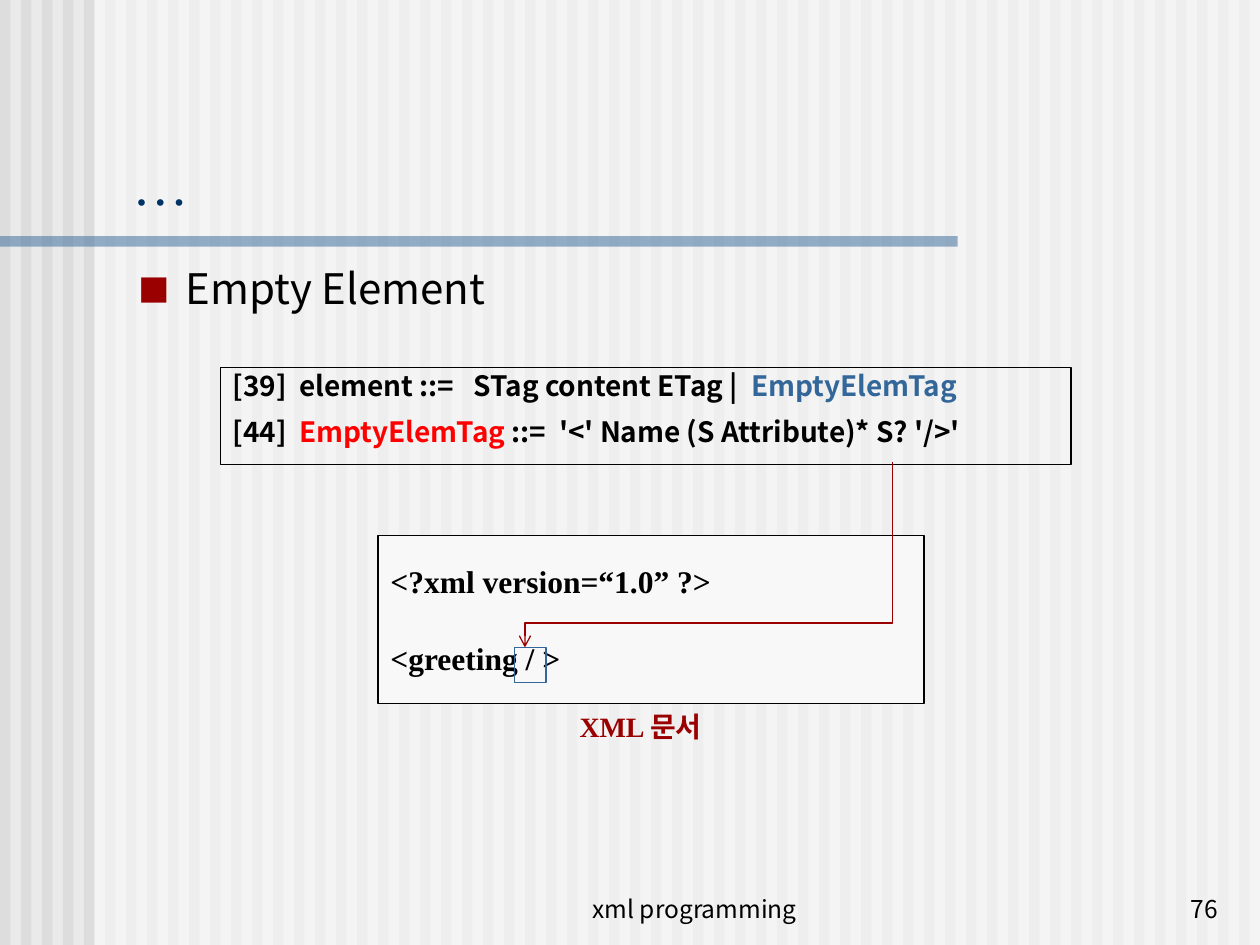
from lxml.etree import SubElement
from pptx import Presentation
from pptx.dml.color import RGBColor
from pptx.enum.shapes import MSO_SHAPE
from pptx.enum.text import MSO_ANCHOR, MSO_AUTO_SIZE, PP_ALIGN
from pptx.oxml.ns import qn
from pptx.util import Pt

SANS, SERIF = "Noto Sans CJK KR", "Times New Roman"
BLACK, RED, BLUE = "000000", "9A0000", "336699"


def paint(target, color, alpha=None):
    """Give a fill a solid colour, with opacity in percent if wanted."""
    target.solid()
    target.fore_color.rgb = RGBColor.from_string(color)
    if alpha is not None:
        clr = target._xPr.find(".//" + qn("a:srgbClr"))
        SubElement(clr, qn("a:alpha"), val=str(alpha * 1000))


def rect(slide, box, fill=None, line=None, alpha=None):
    shape = slide.shapes.add_shape(MSO_SHAPE.RECTANGLE, *map(Pt, box))
    shape.shadow.inherit = False
    if fill:
        paint(shape.fill, fill, alpha)
    else:
        shape.fill.background()
    if line:
        paint(shape.line.fill, line)
        shape.line.width = Pt(0.75)
    else:
        shape.line.fill.background()
    return shape


def style(run, size, font, color, bold=False):
    run.font.size, run.font.bold, run.font.name = Pt(size), bold, font
    paint(run.font.fill, color)
    SubElement(run.font._element, qn("a:ea"), typeface=SANS)


def write(shape, lines, size, font, bold=False, align=PP_ALIGN.LEFT,
          anchor=MSO_ANCHOR.TOP, gap=0, lead=None):
    """Fill a shape with lines, each a list of (text, colour) parts."""
    frame = shape.text_frame
    frame.word_wrap = True
    frame.auto_size = MSO_AUTO_SIZE.NONE
    frame.vertical_anchor = anchor
    for num, parts in enumerate(lines):
        para = frame.add_paragraph() if num else frame.paragraphs[0]
        para.alignment = align
        para.space_before = Pt(gap if num else 0)
        if lead:
            para.line_spacing = lead
        for text, color in parts:
            run = para.add_run()
            run.text = text
            style(run, size, font, color, bold)


def label(slide, box, text, size, font, color, **opts):
    shape = slide.shapes.add_textbox(*map(Pt, box))
    write(shape, [[(text, color)]], size, font, **opts)
    return shape


def backdrop(slide, box):
    left, top, width, height = box
    paint(slide.background.fill, "EAEAEA")
    pitch = 12
    for x in range(left, left + width, pitch):
        rect(slide, (x, top, pitch / 2, height), "DDDDDD")
    rect(slide, (left + 54, top, width - 54, height), "FFFFFF", alpha=50)
    rect(slide, (left, top + 135, 547.2, 6), BLUE, alpha=50)


def heading(slide, box):
    title = slide.shapes.title
    slide.shapes.element.append(title.element)  # in front of the stripes
    title.left, title.top, title.width, title.height = map(Pt, box)
    write(title, [[("…", "003366")]], 32, SERIF, anchor=MSO_ANCHOR.BOTTOM)


def bullet(slide, box):
    shape = label(slide, box, "Empty Element", 24, SANS, BLACK, lead=0.9)
    props = shape.text_frame.paragraphs[0]._p.get_or_add_pPr()
    props.set("marL", str(Pt(27)))
    props.set("indent", str(Pt(-27)))
    color = SubElement(props, qn("a:buClr"))
    SubElement(color, qn("a:srgbClr"), val=RED)
    SubElement(props, qn("a:buSzPct"), val="75000")
    SubElement(props, qn("a:buFont"), typeface=SANS)
    SubElement(props, qn("a:buChar"), char="■")


def grammar(slide, box):
    rules = [
        [("[39]  element ::=   STag content ETag |  ", BLACK),
         ("EmptyElemTag", BLUE)],
        [("[44] ", BLACK), (" EmptyElemTag", "FF0000"),
         (" ::=  '<' Name (S Attribute)* S? '/>'", BLACK)],
    ]
    write(rect(slide, box, line=BLACK), rules, 16, SANS, bold=True,
          gap=10, lead=0.85)


def sample(slide, box):
    """Draw the code box, its caption and the frame round the slash."""
    left, top, width, height = box
    code = ["<?xml version=“1.0” ?>", "<greeting / >"]
    write(rect(slide, box, "F8F8F8", BLACK), [[(row, BLACK)] for row in code],
          18, SERIF, bold=True, anchor=MSO_ANCHOR.MIDDLE, gap=22.5)
    label(slide, (left + 102, top + height, 96, 26.5), "XML 문서", 16, SERIF,
          RED, bold=True, align=PP_ALIGN.CENTER)
    rect(slide, (left + 78, top + 64, 18, 20), line=BLUE)


def elbow(slide, box):
    """Draw the bent arrow from top right to bottom left."""
    left, top, width, height = box
    right, low = left + width, top + height
    bend = low - 14.5
    pen = slide.shapes.build_freeform(left, low, scale=Pt(1))
    pen.add_line_segments([(left, bend), (right, bend), (right, top)],
                          close=False)
    shape = pen.convert_to_shape()
    shape.shadow.inherit = False
    shape.fill.background()
    paint(shape.line.fill, RED)
    shape.line.width = Pt(0.75)
    SubElement(shape.element.spPr.find(qn("a:ln")), qn("a:headEnd"),
               type="arrow")


def footer(slide, box):
    left, top, width, height = box
    low = MSO_ANCHOR.BOTTOM
    label(slide, (left, top, 228, height), "xml programming", 14, SANS, BLACK,
          align=PP_ALIGN.CENTER, anchor=low)
    label(slide, (left + width - 150, top, 150, height), "76", 14, SANS,
          BLACK, align=PP_ALIGN.RIGHT, anchor=low)


def main():
    deck = Presentation()
    deck.slide_width, deck.slide_height = Pt(720), Pt(540)
    slide = deck.slides.add_slide(deck.slide_layouts[5])
    backdrop(slide, (0, 0, 720, 540))
    footer(slide, (283, 495, 420, 36))
    heading(slide, (68.5, 67.5, 643, 60))
    bullet(slide, (72, 150, 638.5, 330))
    grammar(slide, (126, 210, 486, 55.5))
    sample(slide, (216, 306, 312, 96))
    elbow(slide, (300, 264.5, 210, 105.5))
    deck.save("out.pptx")


if __name__ == "__main__":
    main()
